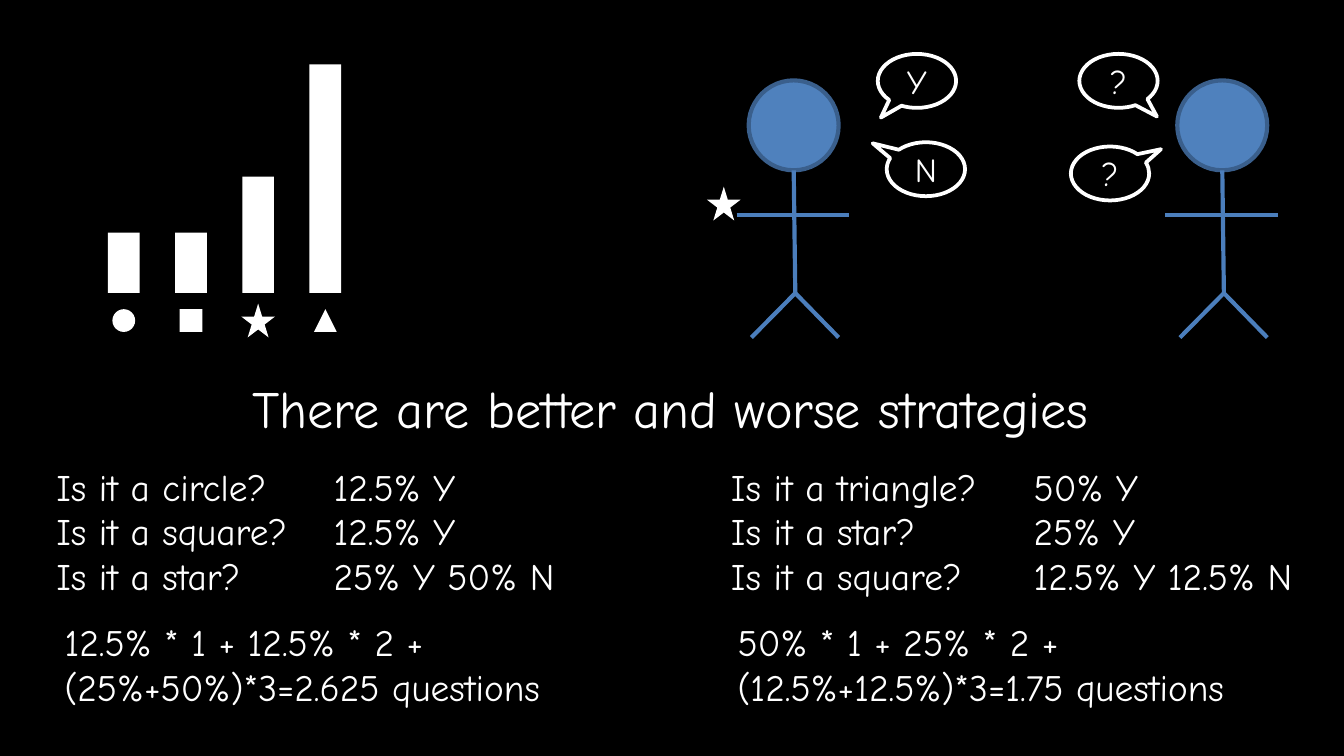
from dataclasses import dataclass

from lxml.etree import SubElement
from pptx import Presentation
from pptx.dml.color import RGBColor
from pptx.enum.shapes import MSO_CONNECTOR, MSO_SHAPE
from pptx.enum.text import MSO_ANCHOR, MSO_AUTO_SIZE, PP_ALIGN
from pptx.oxml.ns import qn
from pptx.util import Cm, Pt


@dataclass(frozen=True)
class Theme:
    font: str = "Comic Neue"
    black: RGBColor = RGBColor(0x00, 0x00, 0x00)
    white: RGBColor = RGBColor(0xFF, 0xFF, 0xFF)
    head: RGBColor = RGBColor(0x4F, 0x81, 0xBD)
    rim: RGBColor = RGBColor(0x3A, 0x5F, 0x8C)
    limb: RGBColor = RGBColor(0x4B, 0x7E, 0xBC)
    title: int = 28
    body: int = 20
    speech: int = 18


THEME = Theme()


def place(item, left, top, width, height):
    item.left, item.top = Cm(left), Cm(top)
    item.width, item.height = Cm(width), Cm(height)


def write(frame, text, size, align=PP_ALIGN.LEFT, anchor=MSO_ANCHOR.TOP):
    """Fill a frame with plain, unbulleted text."""
    frame.text = text
    frame.word_wrap = True
    frame.auto_size = MSO_AUTO_SIZE.NONE
    frame.vertical_anchor = anchor
    for para in frame.paragraphs:
        props = para._p.get_or_add_pPr()
        props.set("marL", "0")
        props.set("indent", "0")
        SubElement(props, qn("a:buNone"))
        para.alignment = align
        para.space_before = Pt(0)
        for run in para.runs:
            font = run.font
            font.name, font.size, font.bold = THEME.font, Pt(size), False
            font.color.rgb = THEME.white


def add_form(slide, kind, left, top, width, height, fill=None, line=None, thick=2.25):
    form = slide.shapes.add_shape(kind, Cm(left), Cm(top), Cm(width), Cm(height))
    form.shadow.inherit = False
    if fill is None:
        form.fill.background()
    else:
        form.fill.solid()
        form.fill.fore_color.rgb = fill
    if line is None:
        form.line.fill.background()
    else:
        form.line.color.rgb = line
        form.line.width = Pt(thick)
    return form


def add_limb(slide, start, end):
    limb = slide.shapes.add_connector(
        MSO_CONNECTOR.STRAIGHT, *[Cm(n) for n in (*start, *end)])
    limb.line.color.rgb = THEME.limb
    limb.line.width = Pt(2.25)
    SubElement(limb._element.spPr, qn("a:effectLst"))


def add_man(slide, left):
    """Draw a stick figure whose head starts at left."""
    add_form(slide, MSO_SHAPE.OVAL, left, 1.52, 1.7, 1.7, THEME.head, THEME.rim)
    hip = (left + 0.88, 5.54)
    add_limb(slide, (left + 0.85, 3.22), hip)
    for foot in (0.05, 1.7):
        add_limb(slide, hip, (left + foot, 6.38))
    add_limb(slide, (left - 0.23, 4.06), (left + 1.9, 4.06))


def add_bubble(slide, text, left, top, tip):
    bubble = add_form(slide, MSO_SHAPE.OVAL_CALLOUT, left, top, 1.48, 1.02,
                      line=THEME.white, thick=2)
    bubble.adjustments[0], bubble.adjustments[1] = tip
    write(bubble.text_frame, text, THEME.speech, PP_ALIGN.CENTER, MSO_ANCHOR.MIDDLE)


def add_bars(slide):
    """Draw the bars with their symbols on a common baseline."""
    base, wide, mid = 5.54, 0.6, 6.06
    bars = [
        (MSO_SHAPE.OVAL, 0.43, 1.14),
        (MSO_SHAPE.RECTANGLE, 0.43, 1.14),
        (MSO_SHAPE.STAR_5_POINT, 0.64, 2.2),
        (MSO_SHAPE.ISOSCELES_TRIANGLE, 0.43, 4.32),
    ]
    for i, (kind, size, tall) in enumerate(bars):
        x = 2.34 + 1.27 * i
        add_form(slide, MSO_SHAPE.RECTANGLE, x - wide / 2, base - tall, wide, tall,
                 THEME.white)
        add_form(slide, kind, x - size / 2, mid - size / 2, size, size, THEME.white)


def add_sum(slide, text, left, width):
    box = slide.shapes.add_textbox(Cm(left), Cm(11.58), Cm(width), Cm(1.96))
    write(box.text_frame, text, THEME.body)


def main():
    deck = Presentation()
    deck.slide_width, deck.slide_height = Cm(25.4), Cm(14.29)
    slide = deck.slides.add_slide(deck.slide_layouts.get_by_name("Comparison"))
    slide.background.fill.solid()
    slide.background.fill.fore_color.rgb = THEME.black

    # Bars and players
    add_bars(slide)
    for left in (14.15, 22.25):
        add_man(slide, left)
    add_form(slide, MSO_SHAPE.STAR_5_POINT, 13.36, 3.53, 0.64, 0.64, THEME.white)

    # Speech
    for bubble in [
        ("?", 20.4, 1.02, (0.49, 0.66)),
        ("Y", 16.59, 1.02, (-0.46, 0.68)),
        ("?", 20.24, 2.77, (0.65, -0.45)),
        ("N", 16.76, 2.69, (-0.68, -0.48)),
    ]:
        add_bubble(slide, *bubble)

    # Title
    title = slide.shapes.title
    place(title, 0.81, 6.99, 23.72, 1.45)
    write(title.text_frame, "There are better and worse strategies", THEME.title,
          PP_ALIGN.CENTER)

    # Questions and answers, one body placeholder per column
    columns = [
        (0.81, 4.98, "Is it a circle?\nIs it a square?\nIs it a star?"),
        (6.05, 5.89, "12.5% Y\n12.5% Y\n25% Y 50% N"),
        (13.56, 5.64, "Is it a triangle?\nIs it a star?\nIs it a square?"),
        (19.28, 5.89, "50% Y\n25% Y\n12.5% Y 12.5% N"),
    ]
    for i, (left, width, text) in enumerate(columns, 1):
        body = slide.placeholders[i]
        place(body, left, 8.64, width, 2.82)
        write(body.text_frame, text, THEME.body)

    # Expected number of questions
    add_sum(slide, "12.5% * 1 + 12.5% * 2 +\v(25%+50%)*3=2.625 questions", 0.97, 10.9)
    add_sum(slide, "50% * 1 + 25% * 2 +\v(12.5%+12.5%)*3=1.75 questions", 13.69, 11.51)

    deck.save("out.pptx")


if __name__ == "__main__":
    main()
